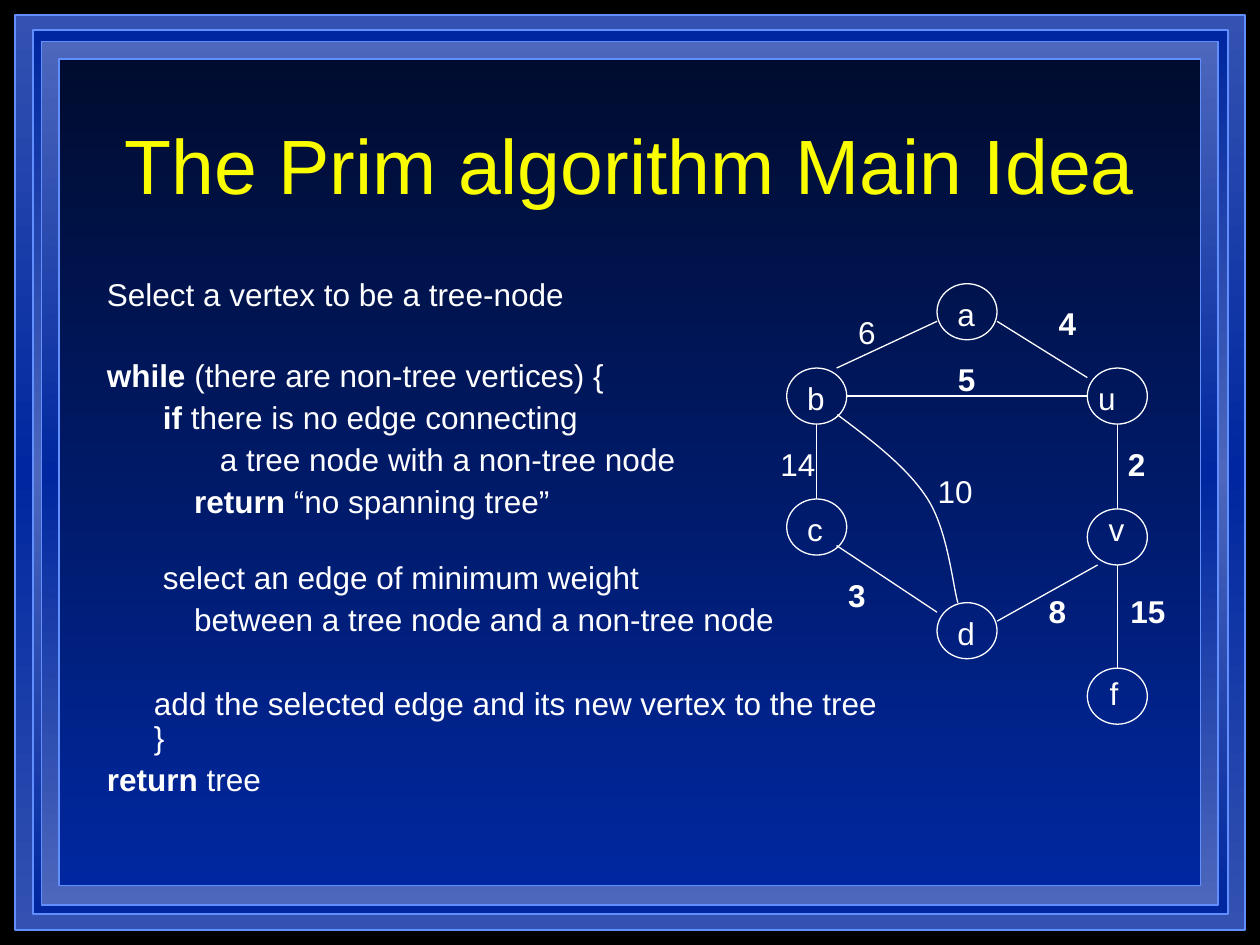
import dataclasses

import lxml.etree
import pptx
import pptx.dml.color
import pptx.enum.shapes
import pptx.enum.text
import pptx.oxml.ns
import pptx.util

Cm = pptx.util.Cm
qn = pptx.oxml.ns.qn


@dataclasses.dataclass(frozen=True)
class Theme:
    font: str = "Arial"
    backdrop: str = "000000"
    title: str = "FAFD00"
    text: str = "FFFFFF"
    border: str = "618FFD"
    steel: str = "3352B2"
    haze: str = "4C67BC"
    royal: str = "00279F"
    night: str = "000C2F"
    title_size: float = 44
    text_size: float = 18
    border_width: float = 1
    graph_width: float = 0.75


THEME = Theme()

FRAME_BOX = (0, 0, 25.4, 19.05)
TITLE_BOX = (1.9, 1.7, 21.6, 3.18)
CODE_BOX = (1.9, 5.51, 21.6, 11.43)
GRAPH_BOX = (15.86, 5.72)

PANELS = [
    ((0.3, 0.3, 0.3, 0.3), (THEME.steel, THEME.royal, THEME.steel)),
    ((0.66, 0.61, 0.64, 0.63), (THEME.royal, THEME.haze, THEME.royal)),
    ((0.84, 0.84, 0.84, 0.81), (THEME.haze, THEME.royal, THEME.haze)),
    ((1.19, 1.19, 1.2, 1.2), (THEME.night, THEME.royal)),
]

LINE_GAP = 4.5
CODE_LINES = [
    (0, LINE_GAP, [("Select a vertex to be a tree-node", False)]),
    (0, 26.5, [("while", True), (" (there are non-tree vertices) {", False)]),
    (1.13, LINE_GAP, [("if", True), (" there is no edge connecting", False)]),
    (2.28, LINE_GAP, [("a tree node with a non-tree node", False)]),
    (1.76, LINE_GAP, [("return", True), (" “no spanning tree”", False)]),
    (1.13, 24.5, [("select an edge of minimum weight", False)]),
    (1.76, LINE_GAP, [("between a tree node and a non-tree node", False)]),
    (0.95, 28.5, [("add the selected edge and its new vertex to the tree", False),
                  None, ("}", False)]),
    (0, LINE_GAP, [("return", True), (" tree", False)]),
]

NODE_WIDTH, NODE_HEIGHT, COLUMN_STEP = 1.21, 1.13, 3.03
NODES = {
    "a": (1, 0, 0.16, 0.1),
    "b": (0, 1.7, 0.16, 0.1),
    "u": (2, 1.7, -0.03, 0.1),
    "c": (0, 4.34, 0.16, 0.1),
    "v": (2, 4.54, 0.18, -0.1),
    "d": (1, 6.43, 0.16, 0.1),
    "f": (2, 7.75, 0.2, 0),
}
EDGES = [
    ("b", (0.5, 1), "c", (0.5, 0)),
    ("b", (0.83, 0), "a", (0, 0.67)),
    ("c", (0.83, 0.83), "d", (0, 0.17)),
    ("d", (1, 0.33), "v", (0.17, 1)),
    ("a", (1, 0.67), "u", (0, 0.17)),
    ("u", (0.5, 1), "v", (0.5, 0)),
    ("b", (1, 0.5), "u", (0, 0.5)),
    ("v", (0.5, 1), "f", (0.5, 0)),
]
CURVE = [(1.02, 2.64), (1.73, 3.17), (2.44, 3.71), (2.84, 4.34),
         (3.25, 4.98), (3.35, 6.1), (3.45, 6.43)]
WEIGHTS = [
    ("6", 1.19, 0.46, False), ("4", 5.23, 0.28, True), ("5", 3.2, 1.42, True),
    ("2", 6.63, 3.12, True), ("15", 6.68, 6.1, True), ("8", 5.03, 6.1, True),
    ("10", 2.79, 3.68, False), ("14", -0.38, 3.12, False), ("3", 0.99, 5.77, True),
]


def rgb(color):
    return pptx.dml.color.RGBColor.from_string(color)


def add_run(paragraph, text, size=THEME.text_size, color=THEME.text, bold=False):
    run = paragraph.add_run()
    run.text = text
    run.font.name = THEME.font
    run.font.size = pptx.util.Pt(size)
    run.font.color.rgb = rgb(color)
    run.font.bold = bold


def set_line(shape, color, width):
    shape.line.color.rgb = rgb(color)
    shape.line.width = pptx.util.Pt(width)


def set_gradient(shape, colors):
    shape.fill.gradient()
    shape.fill.gradient_angle = 270
    stops = shape.element.spPr.find(".//" + qn("a:gsLst"))
    stops.clear()
    for index, color in enumerate(colors):
        position = str(100000 * index // (len(colors) - 1))
        stop = lxml.etree.SubElement(stops, qn("a:gs"), pos=position)
        lxml.etree.SubElement(stop, qn("a:srgbClr"), val=color)


def build_frame(presentation, slide, box):
    left, top, width, height = box
    master = presentation.slide_master
    master.background.fill.solid()
    master.background.fill.fore_color.rgb = rgb(THEME.backdrop)
    group = slide.shapes.add_group_shape()
    for (inset_left, inset_top, inset_right, inset_bottom), colors in PANELS:
        panel = group.shapes.add_shape(
            pptx.enum.shapes.MSO_SHAPE.RECTANGLE, Cm(left + inset_left), Cm(top + inset_top),
            Cm(width - inset_left - inset_right), Cm(height - inset_top - inset_bottom))
        panel.shadow.inherit = False
        set_gradient(panel, colors)
        set_line(panel, THEME.border, THEME.border_width)
    for number, properties in enumerate(group.element.iter(qn("p:cNvPr")), 100):
        properties.set("id", str(number))
    master.shapes.element.insert(2, group.element)


def place_placeholder(shape, box, anchor):
    shape.left, shape.top, shape.width, shape.height = (Cm(length) for length in box)
    frame = shape.text_frame
    frame.word_wrap = True
    frame.auto_size = pptx.enum.text.MSO_AUTO_SIZE.NONE
    frame.vertical_anchor = anchor
    return frame


def build_title(slide, box):
    frame = place_placeholder(slide.shapes.title, box, pptx.enum.text.MSO_ANCHOR.MIDDLE)
    paragraph = frame.paragraphs[0]
    paragraph.alignment = pptx.enum.text.PP_ALIGN.CENTER
    add_run(paragraph, "The Prim algorithm Main Idea", THEME.title_size, THEME.title)


def build_code(slide, box):
    frame = place_placeholder(slide.placeholders[1], box, pptx.enum.text.MSO_ANCHOR.TOP)
    for index, (indent, gap, runs) in enumerate(CODE_LINES):
        paragraph = frame.add_paragraph() if index else frame.paragraphs[0]
        paragraph.line_spacing = 0.9
        paragraph.space_before = pptx.util.Pt(gap)
        properties = paragraph._p.get_or_add_pPr()
        properties.set("marL", str(Cm(indent)))
        properties.set("indent", "0")
        lxml.etree.SubElement(properties, qn("a:buNone"))
        for run in runs:
            if run is None:
                paragraph.add_line_break()
            else:
                add_run(paragraph, run[0], bold=run[1])


def add_label(shapes, text, left, top, bold=False):
    label = shapes.add_textbox(Cm(left), Cm(top), Cm(0.5 + 0.36 * len(text)), Cm(1.02))
    label.text_frame.word_wrap = False
    label.text_frame.auto_size = pptx.enum.text.MSO_AUTO_SIZE.SHAPE_TO_FIT_TEXT
    add_run(label.text_frame.paragraphs[0], text, bold=bold)


def add_curve(shapes, points):
    points = [(Cm(x), Cm(y)) for x, y in points]
    builder = shapes.build_freeform(*points[0])
    builder.add_line_segments(points[1:], close=False)
    curve = builder.convert_to_shape()
    curve.shadow.inherit = False
    curve.fill.background()
    set_line(curve, THEME.text, THEME.graph_width)
    outline = curve.element.find(".//" + qn("a:path"))
    segments = outline.findall(qn("a:lnTo"))
    for start in range(0, len(segments), 3):
        bezier = lxml.etree.SubElement(outline, qn("a:cubicBezTo"))
        for segment in segments[start:start + 3]:
            bezier.append(segment[0])
            outline.remove(segment)


def build_graph(slide, box):
    left, top = box
    shapes = slide.shapes.add_group_shape().shapes

    def node_point(name, across=0, down=0):
        column, node_top = NODES[name][:2]
        return (left + column * COLUMN_STEP + across * NODE_WIDTH,
                top + node_top + down * NODE_HEIGHT)

    for name in NODES:
        x, y = node_point(name)
        node = shapes.add_shape(pptx.enum.shapes.MSO_SHAPE.OVAL,
                                Cm(x), Cm(y), Cm(NODE_WIDTH), Cm(NODE_HEIGHT))
        node.shadow.inherit = False
        node.fill.background()
        set_line(node, THEME.text, THEME.graph_width)
    for start, start_at, end, end_at in EDGES:
        ends = node_point(start, *start_at) + node_point(end, *end_at)
        edge = shapes.add_connector(pptx.enum.shapes.MSO_CONNECTOR.STRAIGHT,
                                    *(Cm(length) for length in ends))
        set_line(edge, THEME.text, THEME.graph_width)
        lxml.etree.SubElement(edge.element.spPr, qn("a:effectLst"))
    add_curve(shapes, [(left + x, top + y) for x, y in CURVE])
    for text, x, y, bold in WEIGHTS:
        add_label(shapes, text, left + x, top + y, bold)
    for name, (_, _, shift_x, shift_y) in NODES.items():
        x, y = node_point(name)
        add_label(shapes, name, x + shift_x, y + shift_y)


def main():
    presentation = pptx.Presentation()
    presentation.slide_width, presentation.slide_height = Cm(25.4), Cm(19.05)
    slide = presentation.slides.add_slide(presentation.slide_layouts[1])
    build_frame(presentation, slide, FRAME_BOX)
    build_title(slide, TITLE_BOX)
    build_code(slide, CODE_BOX)
    build_graph(slide, GRAPH_BOX)
    presentation.save("out.pptx")


if __name__ == "__main__":
    main()
